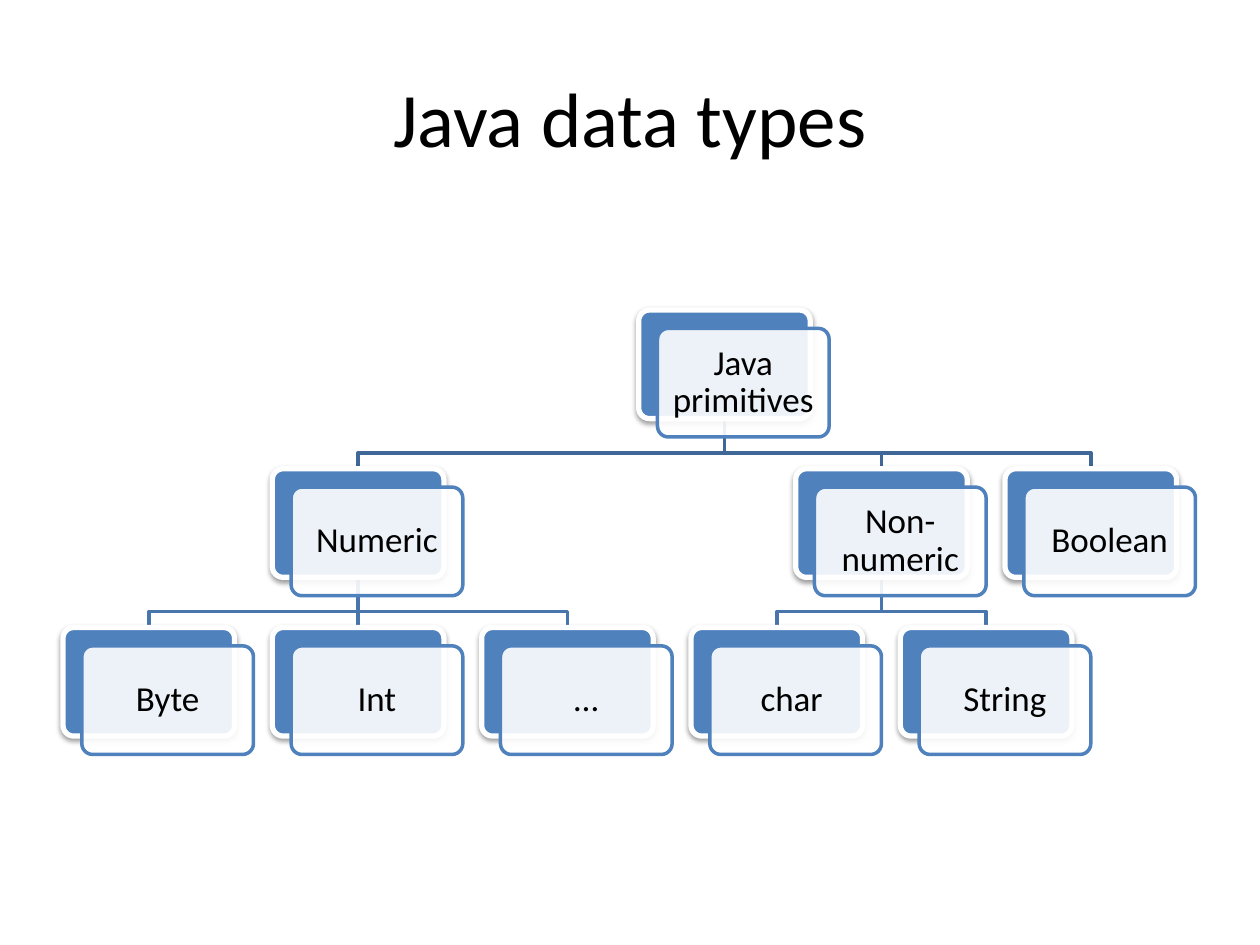
from lxml.etree import SubElement
from pptx import Presentation
from pptx.dml.color import RGBColor
from pptx.enum.shapes import MSO_CONNECTOR, MSO_SHAPE
from pptx.enum.text import MSO_ANCHOR, PP_ALIGN
from pptx.oxml.ns import qn
from pptx.util import Cm, Pt

COLORS = {"text": "000000", "blue": "4F81BD", "white": "FFFFFF",
          "link1": "3F6797", "link2": "4875AC"}
FONT = "Calibri"
NODE_W, NODE_H = 3.46, 2.19
COL_STEP, ROW_STEP = 4.22, 3.2
CARD_DX, CARD_DY = 0.38, 0.37
BEND = 0.69

# A leaf holds its column; a parent holds its children.
TREE = ("Java primitives", [
    ("Numeric", [("Byte", 0), ("Int", 1), ("…", 2)]),
    ("Non-numeric", [("char ", 3), ("String", 4)]),
    ("Boolean", 4.5),
])


def color(name):
    """Return the named colour."""
    return RGBColor.from_string(COLORS[name])


def set_line(sp, name, width):
    """Give a shape a solid outline."""
    sp.line.color.rgb = color(name)
    sp.line.width = Pt(width)


def add_text(sp, text, size):
    """Write one centred run in a shape."""
    tf = sp.text_frame
    tf.word_wrap = True
    tf.vertical_anchor = MSO_ANCHOR.MIDDLE
    p = tf.paragraphs[0]
    p.alignment = PP_ALIGN.CENTER
    r = p.add_run()
    r.text = text
    r.font.name = FONT
    r.font.size = Pt(size)
    r.font.color.rgb = color("text")
    return tf


def add_title(s, x, y, w, h):
    """Place the slide title."""
    sp = s.shapes.add_textbox(Cm(x), Cm(y), Cm(w), Cm(h))
    add_text(sp, "Java data types", 44)


def add_shadow(sp):
    """Put a soft shadow below a shape."""
    effects = sp._element.spPr.find(qn("a:effectLst"))
    shadow = SubElement(effects, qn("a:outerShdw"), blurRad=str(Pt(3.1)),
                        dist=str(Pt(1.6)), dir="5400000", rotWithShape="0")
    black = SubElement(shadow, qn("a:srgbClr"), val=COLORS["text"])
    SubElement(black, qn("a:alpha"), val="38000")


def add_box(s, x, y, fill):
    """Add one rounded box of a node."""
    sp = s.shapes.add_shape(MSO_SHAPE.ROUNDED_RECTANGLE,
                            Cm(x), Cm(y), Cm(NODE_W), Cm(NODE_H))
    sp.adjustments[0] = 0.1
    sp.shadow.inherit = False
    sp.fill.solid()
    sp.fill.fore_color.rgb = color(fill)
    return sp


def add_node(s, x, y, text):
    """Place a blue box and its overlapping text card."""
    back = add_box(s, x, y, "blue")
    set_line(back, "white", 3)
    add_shadow(back)
    card = add_box(s, x + CARD_DX, y + CARD_DY, "white")
    set_line(card, "blue", 2)
    fill = card._element.spPr.find(qn("a:solidFill"))
    SubElement(fill[0], qn("a:alpha"), val="90000")
    tf = add_text(card, text, 20)
    tf.margin_left = tf.margin_right = Cm(0.19)
    tf.margin_top = tf.margin_bottom = Cm(0.19)
    tf.paragraphs[0].line_spacing = 0.9
    tf.paragraphs[0].space_after = Pt(7)


def add_link(s, x1, y1, x2, y2, name):
    """Join a parent's bottom to a child's top."""
    if x1 == x2:
        sp = s.shapes.add_connector(MSO_CONNECTOR.STRAIGHT,
                                    Cm(x1), Cm(y1), Cm(x2), Cm(y2))
        SubElement(sp._element.spPr, qn("a:effectLst"))
        set_line(sp, name, 2)
        # The outline must precede the effects.
        sp._element.spPr.append(sp._element.spPr.find(qn("a:effectLst")))
        return
    fb = s.shapes.build_freeform(Cm(x1), Cm(y1))
    bend = y1 + BEND
    fb.add_line_segments([(Cm(x1), Cm(bend)), (Cm(x2), Cm(bend)),
                          (Cm(x2), Cm(y2))], close=False)
    sp = fb.convert_to_shape()
    sp.shadow.inherit = False
    sp.fill.background()
    set_line(sp, name, 2)


def column(node):
    """Return a node's column, halfway between its outer children."""
    below = node[1]
    if isinstance(below, list):
        return (column(below[0]) + column(below[-1])) / 2
    return below


def add_tree(s, x, y):
    """Place the hierarchy, links behind nodes."""
    nodes, links = [], []

    def visit(node, level):
        text, below = node
        left, top = x + column(node) * COL_STEP, y + level * ROW_STEP
        nodes.append((left, top, text))
        for child in below if isinstance(below, list) else []:
            mid = NODE_W / 2
            links.append((left + mid, top + NODE_H,
                          x + column(child) * COL_STEP + mid, top + ROW_STEP,
                          f"link{level + 1}"))
            visit(child, level + 1)

    visit(TREE, 0)
    for link in links:
        add_link(s, *link)
    for node in nodes:
        add_node(s, *node)


prs = Presentation()
prs.slide_width, prs.slide_height = Cm(25.4), Cm(19.05)
s = prs.slides.add_slide(prs.slide_layouts[6])
add_title(s, 1.27, 0.76, 22.86, 3.18)
add_tree(s, 1.27, 6.25)
prs.save("out.pptx")
